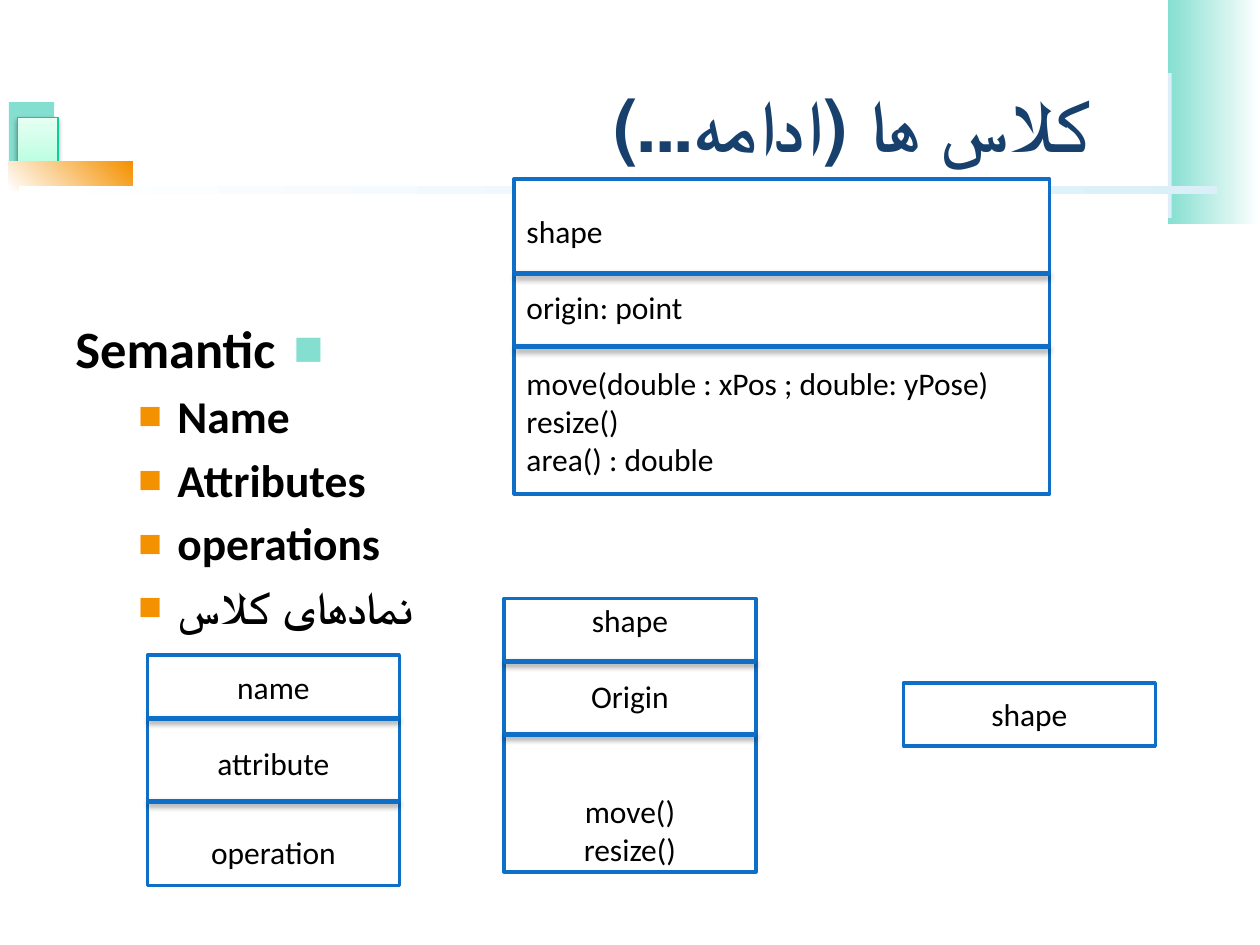
from lxml.etree import SubElement
from pptx import Presentation
from pptx.dml.color import RGBColor
from pptx.enum.shapes import MSO_CONNECTOR, MSO_SHAPE
from pptx.enum.text import MSO_ANCHOR, PP_ALIGN
from pptx.oxml.ns import qn
from pptx.util import Inches, Pt

COLORS = {
    "title": "17406D", "text": "000000", "paper": "FFFFFF", "outline": "0F6FC6",
    "teal": "85DFD0", "orange": "F49100", "pale": "DBEFF9",
    "mint": "A6FFD7", "mint_light": "E7FFF4", "mint_line": "0BCF9A",
}
FONT = "Calibri"
LINE_GAP = 22  # height of one 18 pt line, in points


def color(name):
    return RGBColor.from_string(COLORS[name])


def set_font(paragraph, size, name="text", bold=False):
    font = paragraph.font
    font.name, font.size, font.bold = FONT, Pt(size), bold
    font.color.rgb = color(name)


def add_shadow(properties, opacity):
    effects = properties.find(qn("a:effectLst"))
    if effects is None:
        effects = SubElement(properties, qn("a:effectLst"))
    shadow = SubElement(effects, qn("a:outerShdw"), blurRad=str(Pt(3.1)),
                        dist=str(Pt(1.8)), dir="5400000", rotWithShape="0")
    black = SubElement(shadow, qn("a:srgbClr"), val=COLORS["text"])
    SubElement(black, qn("a:alpha"), val=str(opacity * 1000))


def add_block(page, place, fill, end=None, angle=0, line=None, width=1):
    """Rectangle with a plain fill, or a gradient from fill to end."""
    block = page.shapes.add_shape(MSO_SHAPE.RECTANGLE, *map(Inches, place))
    if end:
        block.fill.gradient()
        block.fill.gradient_angle = angle
        for stop, name in zip(block.fill.gradient_stops, (fill, end)):
            stop.color.rgb = color(name)
    else:
        block.fill.solid()
        block.fill.fore_color.rgb = color(fill)
    if line:
        block.line.color.rgb = color(line)
        block.line.width = Pt(width)
    else:
        block.line.fill.background()
    block.shadow.inherit = False
    return block


def add_decor(page):
    add_block(page, (9.27, 0, 0.73, 1.78), "teal", "paper")
    add_block(page, (0.07, 0.81, 0.36, 0.52), "teal")
    square = add_block(page, (0.14, 0.93, 0.32, 0.52), "mint", "mint_light", 90,
                       "mint_line", 0.75)
    add_shadow(square._element.spPr, 38)
    add_block(page, (0.07, 1.28, 0.98, 0.23), "paper", "orange", 45)
    add_block(page, (9.27, 0.58, 0.03, 1.15), "pale")
    add_block(page, (0.15, 1.48, 9.51, 0.06), "paper", "pale")


def add_title(page, text):
    title = page.shapes.title
    title.left, title.top, title.width, title.height = map(
        Inches, (0.31, 0.13, 8.44, 1.25))
    title.text_frame.text = text
    title.text_frame.vertical_anchor = MSO_ANCHOR.BOTTOM
    para = title.text_frame.paragraphs[0]
    para.alignment = PP_ALIGN.RIGHT
    para._p.get_or_add_pPr().set("rtl", "1")
    set_font(para, 42, "title", True)


def add_bullet(para, name, percent, margin, hanging):
    properties = para._p.get_or_add_pPr()
    properties.set("marL", str(Inches(margin)))
    properties.set("indent", str(-Inches(hanging)))
    tint = SubElement(properties, qn("a:buClr"))
    SubElement(tint, qn("a:srgbClr"), val=COLORS[name])
    SubElement(properties, qn("a:buSzPct"), val=str(percent * 1000))
    SubElement(properties, qn("a:buFont"), typeface=FONT)
    SubElement(properties, qn("a:buChar"), char="■")


def add_outline(page, heading, items):
    box = page.shapes.add_textbox(*map(Inches, (0.5, 2.46, 9, 4.73)))
    frame = box.text_frame
    frame.word_wrap = True
    para = frame.paragraphs[0]
    para.text = heading
    para.alignment = PP_ALIGN.LEFT
    para._p.get_or_add_pPr().set("rtl", "1")
    add_bullet(para, "teal", 60, 0.38, 0.38)
    set_font(para, 30, bold=True)
    for item in items:
        para = frame.add_paragraph()
        para.text = item
        para.level = 1
        para.alignment = PP_ALIGN.LEFT
        para.space_before = Pt(5.2)
        add_bullet(para, "orange", 55, 0.81, 0.31)
        set_font(para, 26, bold=True)


def add_class(page, place, lines, dividers=(), top=None, align=PP_ALIGN.CENTER):
    """Class box; lines are (text, gap before in points)."""
    left, box_top, width, _ = place
    box = add_block(page, place, "paper", line="outline", width=2)
    frame = box.text_frame
    frame.word_wrap = True
    frame.vertical_anchor = MSO_ANCHOR.MIDDLE
    if top is not None:
        frame.vertical_anchor = MSO_ANCHOR.TOP
        frame.margin_top = Inches(top)
    for index, (text, gap) in enumerate(lines):
        para = frame.add_paragraph() if index else frame.paragraphs[0]
        para.text = text
        para.alignment = align
        if gap:
            para.space_before = Pt(gap)
        set_font(para, 18)
    for offset in dividers:
        y = Inches(box_top + offset)
        rule = page.shapes.add_connector(
            MSO_CONNECTOR.STRAIGHT, Inches(left), y, Inches(left + width), y)
        rule.line.color.rgb = color("outline")
        rule.line.width = Pt(3)
        add_shadow(rule._element.spPr, 35)


def main():
    deck = Presentation()
    deck.slide_width, deck.slide_height = Inches(10), Inches(7.5)
    page = deck.slides.add_slide(deck.slide_layouts[5])

    add_decor(page)
    add_title(page, "کلاس ها (ادامه...) ")
    add_outline(page, "Semantic",
                ["Name", "Attributes", "operations", "نمادهای کلاس"])

    # Class symbols: general form, name only, full and short
    add_class(page, (1.17, 5.2, 2, 1.83),
              [("name", 0), ("attribute", LINE_GAP), ("operation", 29.3)],
              (0.5, 1.16), 0.1)
    add_class(page, (7.17, 5.42, 2, 0.5), [("shape", 0)])
    add_class(page, (4.08, 1.42, 4.25, 2.5),
              [("shape", 0), ("origin: point", LINE_GAP),
               ("move(double : xPos ; double: yPose)", LINE_GAP),
               ("resize()", 0), ("area() : double", 0)],
              (0.75, 1.33), 0.26, PP_ALIGN.LEFT)
    add_class(page, (4, 4.75, 2, 2.17),
              [("shape", 0), ("Origin", LINE_GAP),
               ("move()", 2 * LINE_GAP), ("resize()", 0)],
              (0.5, 1.08), 0.02)

    deck.save("out.pptx")


if __name__ == "__main__":
    main()
